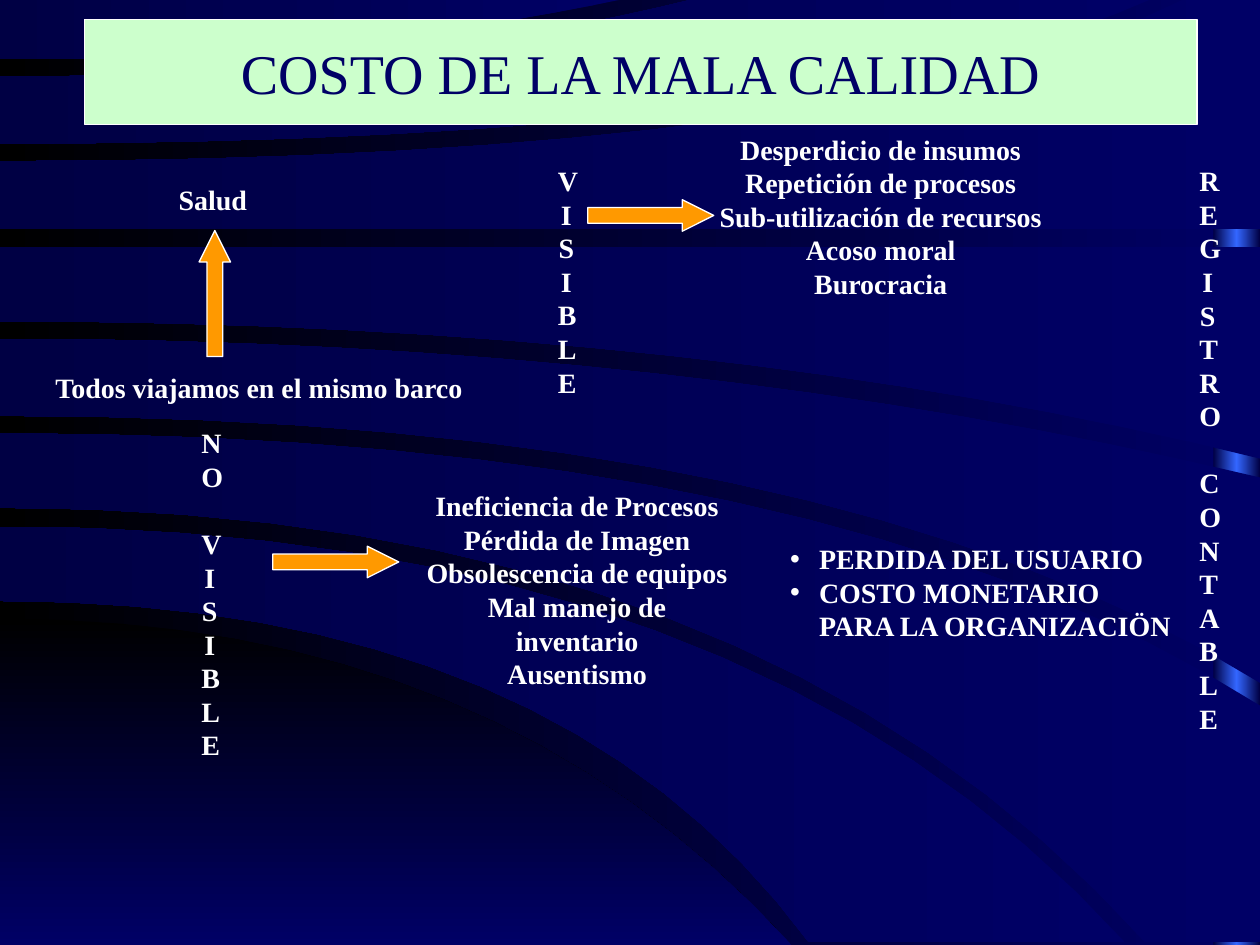
from copy import deepcopy

from pptx import Presentation
from pptx.dml.color import RGBColor
from pptx.enum.shapes import MSO_SHAPE as Shape
from pptx.enum.text import MSO_ANCHOR as Anchor, MSO_AUTO_SIZE as AutoSize, PP_ALIGN as Align
from pptx.oxml import parse_xml
from pptx.oxml.ns import nsdecls, qn
from pptx.util import Inches, Pt

NAVY = RGBColor(0x00, 0x00, 0x66)
DARK_NAVY = RGBColor(0x00, 0x00, 0x44)
BLACK = RGBColor(0x00, 0x00, 0x00)
BLUE = RGBColor(0x33, 0x66, 0xFF)
WHITE = RGBColor(0xFF, 0xFF, 0xFF)
MINT = RGBColor(0xCC, 0xFF, 0xCC)
ORANGE = RGBColor(0xFF, 0x99, 0x00)

BODY_FONT = {"name": "Times New Roman", "size": Pt(16), "bold": True}
TITLE_FONT = {"name": "Times New Roman", "size": Pt(32), "bold": False}
LINE_HEIGHT = Pt(19.2)
CURVE_STEPS = 16


def fill_gradient(fill, first, last, angle=180):
    fill.gradient()
    fill.gradient_angle = angle
    for stop, color in zip(fill.gradient_stops, (first, last)):
        stop.color.rgb = color


def write_text(shape, lines, align, wrap=True, font_format=BODY_FONT, color=WHITE):
    frame = shape.text_frame
    frame.text = "\n".join(lines)
    frame.word_wrap = wrap
    frame.auto_size = AutoSize.SHAPE_TO_FIT_TEXT
    for paragraph in frame.paragraphs:
        paragraph.alignment = align
        paragraph.space_before = Pt(0)
        font = paragraph.runs[0].font
        for name, value in font_format.items():
            setattr(font, name, value)
        font.color.rgb = color


presentation = Presentation()
presentation.slide_width, presentation.slide_height = Inches(10), Inches(7.5)
slide = presentation.slides.add_slide(presentation.slide_layouts[1])
shapes = slide.shapes

# Background and right-hand strip
fill_gradient(slide.background.fill, NAVY, BLACK)
strip = shapes.add_shape(Shape.RECTANGLE, Inches(9.63), 0, Inches(0.37), Inches(7.5))
strip.shadow.inherit = False
strip.line.fill.background()
fill_gradient(strip.fill, DARK_NAVY, DARK_NAVY)
first_stop = strip._element.find(".//" + qn("a:gs"))
middle_stop = deepcopy(first_stop)
middle_stop.set("pos", "50000")
first_stop.addnext(middle_stop)
strip.fill.gradient_stops[1].color.rgb = BLUE

# Curved bands from back to front; each edge leaves the left side level and
# bends as a quadratic curve: start y, control x, end x, end y
bands = [
    ((4.91, 3.93, 6.28, 7.5), (7.5, 3, 6.28, 7.5)),
    ((4.18, 5.93, 8.93, 7.48), (4.77, 4.42, 6.42, 7.48)),
    ((3.44, 6.6, 10, 5.6), (4.03, 6, 9.09, 7.48)),
    ((2.69, 5.4, 10, 3.79), (3.3, 6.6, 10, 5.42)),
    ((1.96, 5, 10, 1.96), (2.55, 5.64, 10, 3.64)),
    ((1.28, 6.83, 9.43, -0.02), (1.82, 5, 10, 1.82)),
    ((0.61, 3.04, 5.56, -0.02), (1.14, 6.6, 9.17, -0.02)),
    ((-0.02, 2.5, 5.01, -0.02), (0.47, 2.7, 5.01, -0.02)),
]
for number, edges in enumerate(bands):
    upper, lower = [
        [(Inches(2 * t * (1 - t) * control_x + t * t * end_x),
          Inches(start_y + t * t * (end_y - start_y)))
         for t in (step / CURVE_STEPS for step in range(CURVE_STEPS + 1))]
        for start_y, control_x, end_x, end_y in edges]
    corner = (max(upper[-1][0], lower[-1][0]), min(upper[-1], lower[-1])[1])
    builder = shapes.build_freeform(*upper[0])
    builder.add_line_segments(upper[1:] + [corner] + lower[::-1], close=True)
    band = builder.convert_to_shape()
    band.shadow.inherit = False
    band.line.fill.background()
    if number == 0:
        fill_gradient(band.fill, BLACK, NAVY, angle=270)
    else:
        fill_gradient(band.fill, NAVY, DARK_NAVY)

# Title and bullet list, brought in front of the bands
title, results = shapes.title, slide.placeholders[1]
for placeholder, box in ((title, (0.67, 0.25, 8.83, 0.64)), (results, (6.17, 4.25, 3.25, 0.9))):
    placeholder.left, placeholder.top, placeholder.width, placeholder.height = map(Inches, box)
    shapes._spTree.append(placeholder._element)

write_text(title, ["COSTO DE LA MALA CALIDAD"], Align.CENTER, font_format=TITLE_FONT, color=NAVY)
title.text_frame.vertical_anchor = Anchor.MIDDLE
title.fill.solid()
title.fill.fore_color.rgb = MINT
title.line.color.rgb = WHITE
title.line.width = Pt(0.75)

write_text(results, ["PERDIDA DEL USUARIO", "COSTO MONETARIO PARA LA ORGANIZACIÖN"], Align.LEFT)
for paragraph in results.text_frame.paragraphs:
    properties = paragraph._p.get_or_add_pPr()
    properties.set("marL", str(Inches(0.23)))
    properties.set("indent", str(-Inches(0.23)))
    properties.append(parse_xml(
        f'<a:buClr {nsdecls("a")}><a:srgbClr val="{WHITE}"/></a:buClr>'))
    properties.append(parse_xml(f'<a:buChar {nsdecls("a")} char="•"/>'))

# Labels and cost lists: position, lines, alignment, wrap
labels = [
    ((1.32, 1.4, 0.74, 0.37), ["Salud"], Align.LEFT, False),
    ((0.34, 2.89, 3.45, 0.37), ["Todos viajamos en el mismo barco"], Align.LEFT, False),
    ((5.61, 1, 2.76, 1.44),
     ["Desperdicio de insumos", "Repetición de procesos", "Sub-utilización de recursos",
      "Acoso moral", "Burocracia"], Align.CENTER, False),
    ((3.26, 3.83, 2.64, 1.44),
     ["Ineficiencia de Procesos", "Pérdida de Imagen", "Obsolescencia de equipos",
      "Mal manejo de inventario", "Ausentismo"], Align.CENTER, False),
    # Narrow boxes stack their words letter by letter
    ((4.33, 1.25, 0.33, 1.97), ["VISIBLE"], Align.CENTER, True),
    ((1.5, 3.33, 0.33, 2.77), ["N", "O", "VISIBLE"], Align.CENTER, True),
    ((9.42, 1.25, 0.33, 4.63), ["REGISTRO", "CONTABLE"], Align.CENTER, True),
]
for box, lines, align, wrap in labels:
    label = shapes.add_textbox(*map(Inches, box))
    write_text(label, lines, align, wrap)
    if wrap and len(lines) > 1:
        label.text_frame.paragraphs[-1].space_before = LINE_HEIGHT

# Arrows
for left, top, rotation in ((1.58, 1.83, 0), (5.04, 1.21, 90), (2.54, 3.96, 90)):
    arrow = shapes.add_shape(Shape.UP_ARROW, Inches(left), Inches(top), Inches(0.25), Inches(1))
    arrow.rotation = rotation
    arrow.adjustments[0], arrow.adjustments[1] = 0.5, 1
    arrow.shadow.inherit = False
    arrow.fill.solid()
    arrow.fill.fore_color.rgb = ORANGE
    arrow.line.color.rgb = WHITE
    arrow.line.width = Pt(0.75)

presentation.save("out.pptx")
